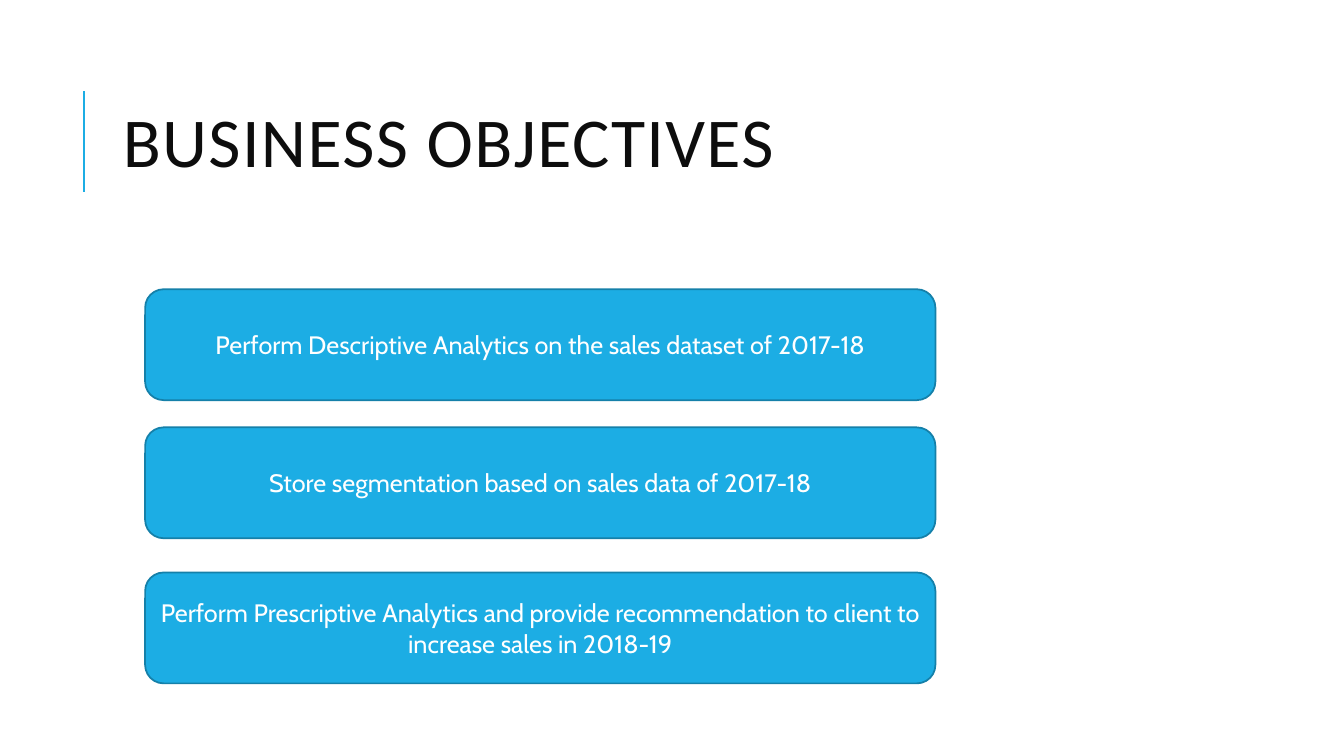
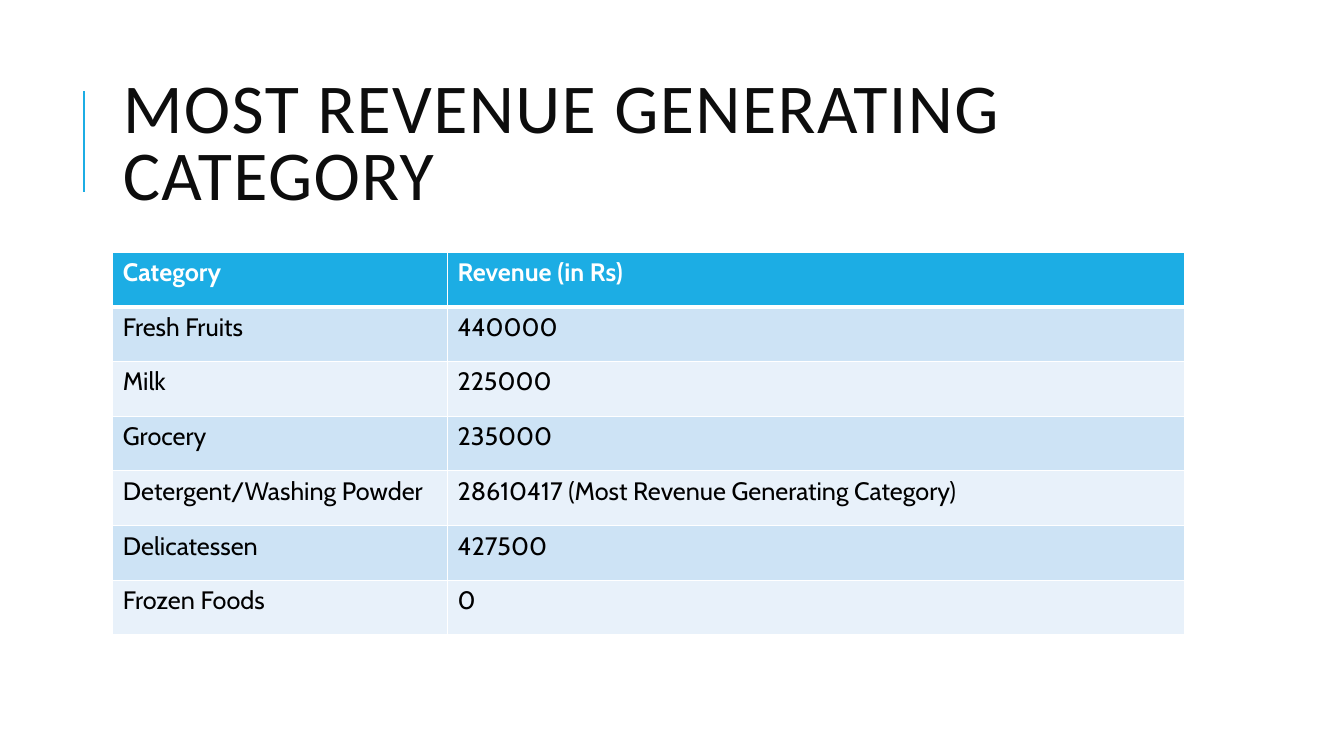
from lxml.etree import SubElement
from pptx import Presentation
from pptx.dml.color import RGBColor
from pptx.enum.shapes import MSO_CONNECTOR as Connector, MSO_SHAPE as Shape
from pptx.enum.text import MSO_ANCHOR as Anchor, PP_ALIGN as Align
from pptx.oxml.ns import qn
from pptx.util import Pt

ACCENT = RGBColor(0x1C, 0xAD, 0xE4)
ACCENT_DARK = RGBColor(0x15, 0x80, 0xA9)
INK = RGBColor(0x0D, 0x0D, 0x0D)
BLACK = RGBColor(0, 0, 0)
WHITE = RGBColor(0xFF, 0xFF, 0xFF)
BANDS = (RGBColor(0xCD, 0xE3, 0xF5), RGBColor(0xE8, 0xF1, 0xFA))

TITLE_FONT = "Calibri"
BODY_FONT = "Cabin"
CONTENT_LEFT = Pt(80.64)

OBJECTIVES = (
    (206.64, "Perform Descriptive Analytics on the sales dataset of 2017-18"),
    (305.28, "Store segmentation based on sales data of 2017-18"),
    (408.96, "Perform Prescriptive Analytics and provide recommendation "
             "to client to increase sales in 2018-19"),
)
REVENUE = (
    ("Category", "Revenue (in Rs)"),
    ("Fresh Fruits", "440000"),
    ("Milk", "225000"),
    ("Grocery", "235000"),
    ("Detergent/Washing Powder", "28610417 (Most Revenue Generating Category)"),
    ("Delicatessen", "427500"),
    ("Frozen Foods", "0"),
)
COLUMN_WIDTHS = (Pt(239.04), Pt(526.32))
ROW_HEIGHT = Pt(39.1)


def write(frame, text, font=BODY_FONT, size=18, color=WHITE, bold=False,
          align=Align.LEFT, anchor=Anchor.TOP, line_spacing=1.0, tracking=0):
    frame.word_wrap = True
    frame.vertical_anchor = anchor
    paragraph = frame.paragraphs[0]
    paragraph.alignment = align
    paragraph.line_spacing = line_spacing
    run = paragraph.add_run()
    run.text = text
    run.font.name = font
    run.font.size = Pt(size)
    run.font.bold = bold
    run.font.color.rgb = color
    if tracking:
        run._r.get_or_add_rPr().set("spc", str(tracking * 100))


def add_accent_rule(slide):
    rule = slide.shapes.add_connector(
        Connector.STRAIGHT, Pt(60), Pt(136.8), Pt(60), Pt(64.8))
    rule.line.color.rgb = ACCENT
    rule.line.width = Pt(1.5)
    SubElement(rule._element.spPr, qn("a:effectLst"))


def add_titled_slide(deck, title):
    slide = deck.slides.add_slide(deck.slide_layouts[6])
    add_accent_rule(slide)
    heading = slide.shapes.add_textbox(
        CONTENT_LEFT, Pt(46.08), Pt(765.36), Pt(118.08))
    write(heading.text_frame, title, font=TITLE_FONT, size=50, color=INK,
          anchor=Anchor.MIDDLE, line_spacing=0.8, tracking=1)
    return slide


def add_objective(slide, top, text):
    objective = slide.shapes.add_shape(
        Shape.ROUNDED_RECTANGLE, Pt(103.68), Pt(top), Pt(564.48), Pt(79.2))
    objective.shadow.inherit = False
    objective.fill.solid()
    objective.fill.fore_color.rgb = ACCENT
    objective.line.color.rgb = ACCENT_DARK
    objective.line.width = Pt(1.25)
    write(objective.text_frame, text, align=Align.CENTER, anchor=Anchor.MIDDLE)


def set_borders(cell, color, **widths):
    properties = cell._tc.get_or_add_tcPr()
    for side in "LRTB":
        border = SubElement(properties, qn(f"a:ln{side}"),
                            w=str(Pt(widths.get(side, 1))))
        fill = SubElement(border, qn("a:solidFill"))
        SubElement(fill, qn("a:srgbClr"), val=str(color))


def add_revenue_table(slide, rows):
    table = slide.shapes.add_table(
        len(rows), len(COLUMN_WIDTHS), CONTENT_LEFT, Pt(180),
        sum(COLUMN_WIDTHS), ROW_HEIGHT * len(rows)).table
    for column, width in zip(table.columns, COLUMN_WIDTHS):
        column.width = width
    for index, values in enumerate(rows):
        header = index == 0
        table.rows[index].height = ROW_HEIGHT
        for cell, value in zip(table.rows[index].cells, values):
            set_borders(cell, WHITE, T=3 if index == 1 else 1,
                        B=3 if header else 1)
            cell.fill.solid()
            cell.fill.fore_color.rgb = ACCENT if header else BANDS[(index - 1) % 2]
            write(cell.text_frame, value, bold=header,
                  color=WHITE if header else BLACK)


def main():
    deck = Presentation()
    deck.slide_width, deck.slide_height = Pt(960), Pt(540)

    objectives = add_titled_slide(deck, "BUSINESS OBJECTIVES")
    for top, text in OBJECTIVES:
        add_objective(objectives, top, text)

    revenue = add_titled_slide(deck, "MOST REVENUE GENERATING CATEGORY")
    add_revenue_table(revenue, REVENUE)

    deck.save("out.pptx")


main()
